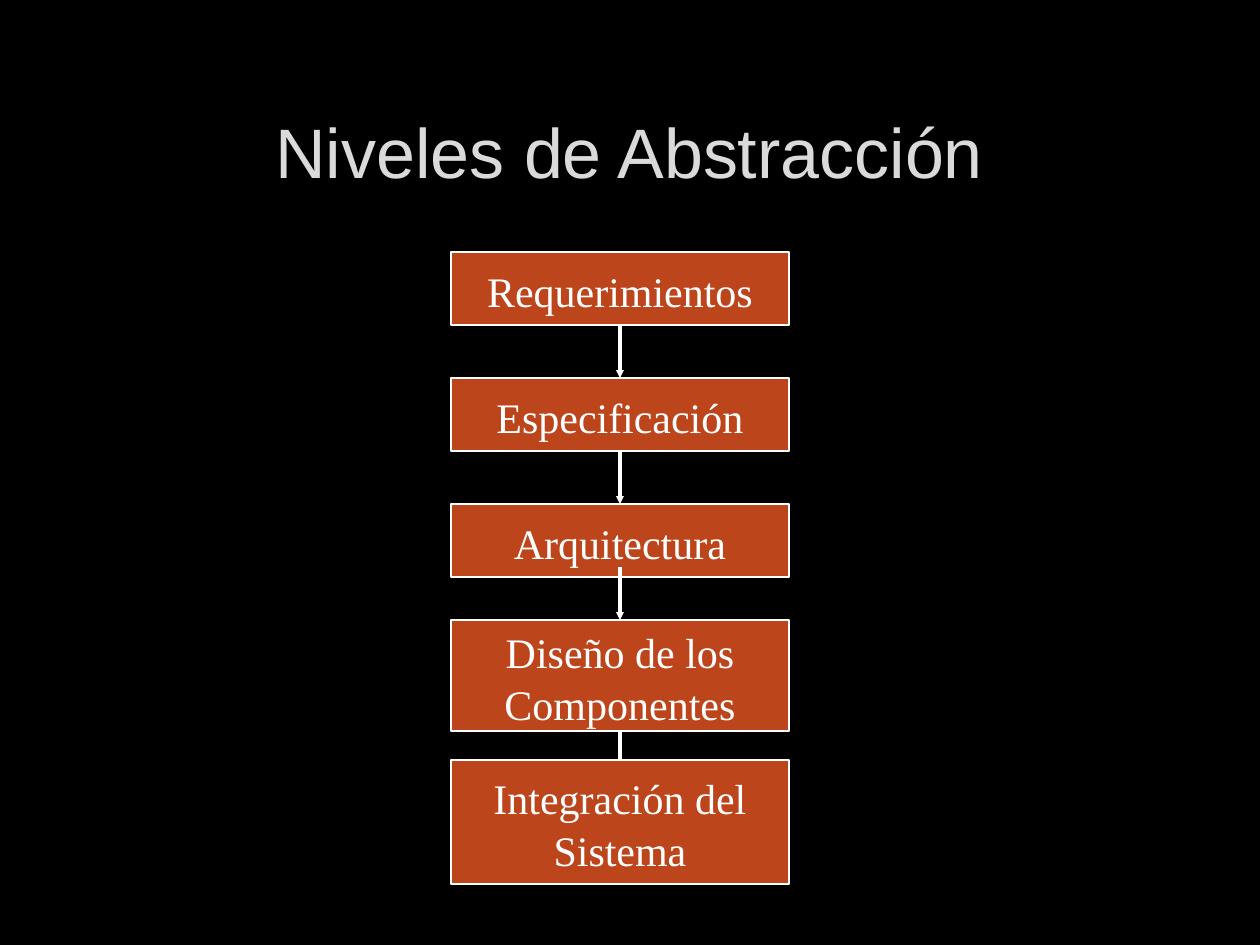
from dataclasses import dataclass

from lxml import etree
from pptx import Presentation
from pptx.dml.color import RGBColor
from pptx.enum.shapes import MSO_CONNECTOR, MSO_SHAPE
from pptx.enum.text import MSO_ANCHOR, PP_ALIGN
from pptx.oxml.ns import qn
from pptx.util import Emu, Pt

RECT = MSO_SHAPE.RECTANGLE
LINE = MSO_CONNECTOR.STRAIGHT
MID = MSO_ANCHOR.MIDDLE
CENTER = PP_ALIGN.CENTER
TOP, BOTTOM = 0, 2


@dataclass(frozen=True)
class Theme:
    """Colours, fonts and type sizes."""
    back: str = "000000"
    fill: str = "BC451B"
    ink: str = "FFFFFF"
    head: str = "DADADA"
    sans: str = "Arial"
    serif: str = "Times New Roman"
    big: int = 40
    text: int = 24
    edge: float = 1
    stroke: float = 2.25


def px(num):
    """Turn px into EMU at 126 px to the inch."""
    return Emu(round(num * 914400 / 126))


def rgb(code):
    """Turn a hex code into a colour."""
    return RGBColor.from_string(code)


class Deck:
    """Hold the style and the current slide."""

    def __init__(self, theme):
        """Start a deck with one title slide."""
        self.theme = theme
        self.file = Presentation()
        self.file.slide_width, self.file.slide_height = px(1260), px(945)
        self.slide = self.file.slides.add_slide(self.file.slide_layouts[5])
        fill = self.slide.background.fill
        fill.solid()
        fill.fore_color.rgb = rgb(theme.back)

    def label(self, shape, text, face, size, color):
        """Set centred text, one paragraph a line."""
        frame = shape.text_frame
        frame.text = text
        frame.vertical_anchor = MID
        for para in frame.paragraphs:
            para.alignment = CENTER
            para.font.name = face
            para.font.size = Pt(size)
            para.font.color.rgb = rgb(color)
        return frame

    def title(self, text, x, y, w, h):
        """Place and fill the title."""
        shape = self.slide.shapes.title
        shape.left, shape.top, shape.width, shape.height = map(px, (x, y, w, h))
        look = self.theme
        self.label(shape, text, look.sans, look.big, look.head)

    def box(self, text, x, y, w, h):
        """Add a filled box with a label."""
        look = self.theme
        shape = self.slide.shapes.add_shape(RECT, *map(px, (x, y, w, h)))
        shape.shadow.inherit = False
        shape.fill.solid()
        shape.fill.fore_color.rgb = rgb(look.fill)
        shape.line.color.rgb = rgb(look.ink)
        shape.line.width = Pt(look.edge)
        frame = self.label(shape, text, look.serif, look.text, look.ink)
        frame.word_wrap = False
        frame.margin_top = px(10)
        for para in frame.paragraphs:
            para.space_before = Pt(1)
        return shape

    def arrow(self, x, start, end):
        """Add a downward arrow."""
        look = self.theme
        link = self.slide.shapes.add_connector(
            LINE, px(x), px(start), px(x), px(end))
        link.line.color.rgb = rgb(look.ink)
        link.line.width = Pt(look.stroke)
        props = link.element.spPr
        etree.SubElement(props.find(qn("a:ln")), qn("a:tailEnd"),
                         type="triangle", w="sm", len="sm")
        etree.SubElement(props, qn("a:effectLst"))
        return link


def main():
    """Build the slide."""
    deck = Deck(Theme())
    deck.title("Niveles de Abstracción", 94, 84, 1070, 134)
    left, wide = 451, 338
    mid = left + wide // 2
    steps = [
        ("Requerimientos", 252, 73),
        ("Especificación", 378, 73),
        ("Arquitectura", 504, 73),
        ("Diseño de los\nComponentes", 620, 111),
    ]
    boxes = [deck.box(text, left, y, wide, h) for text, y, h in steps]
    for prev, box in zip(boxes[:2], boxes[1:]):
        link = deck.arrow(mid, 0, 1)
        link.begin_connect(prev, BOTTOM)
        link.end_connect(box, TOP)
    deck.arrow(mid, 567, 620).end_connect(boxes[3], TOP)
    deck.arrow(mid, 731, 791).begin_connect(boxes[3], BOTTOM)
    deck.box("Integración del\nSistema", left, 760, wide, 124)
    deck.file.save("out.pptx")


if __name__ == "__main__":
    main()
